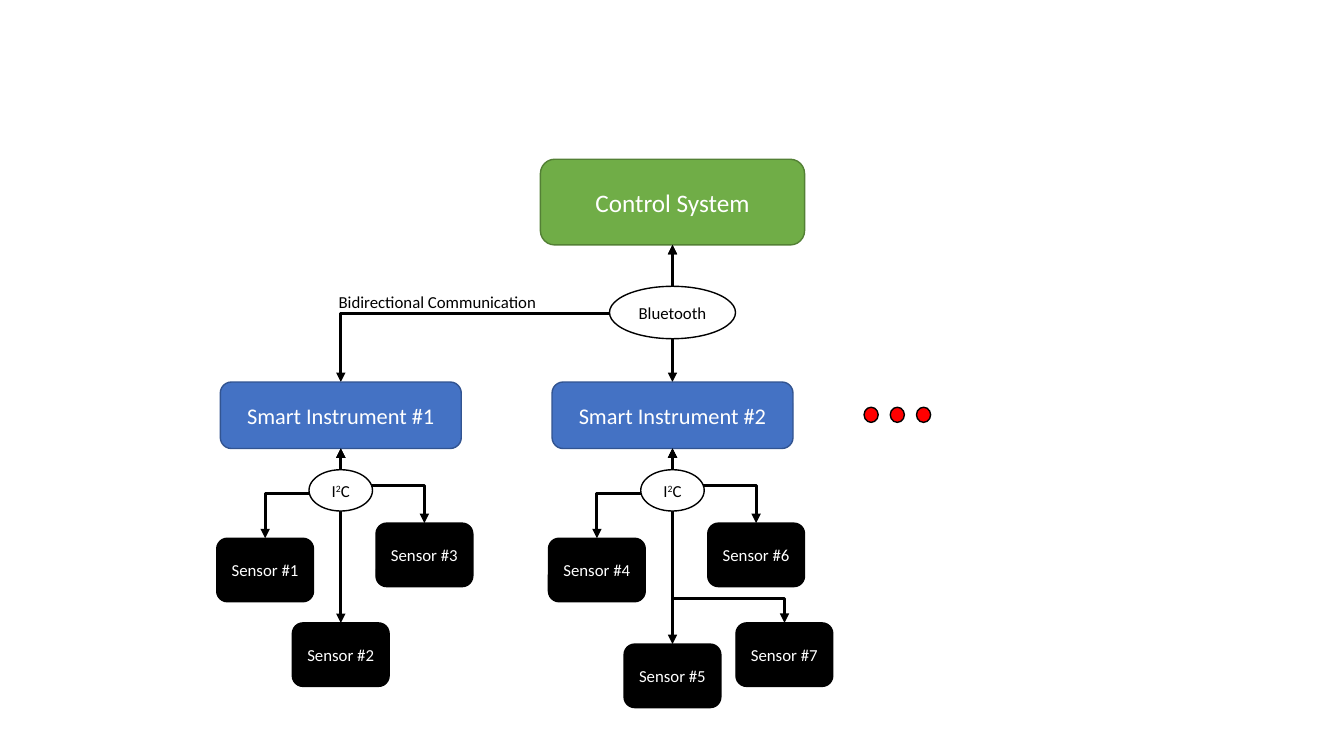
from lxml.etree import SubElement
from pptx import Presentation
from pptx.dml.color import RGBColor
from pptx.enum.shapes import MSO_CONNECTOR as LINK, MSO_SHAPE as SHAPE
from pptx.enum.text import MSO_ANCHOR, PP_ALIGN
from pptx.oxml.ns import qn
from pptx.util import Inches, Pt

BLACK = RGBColor(0x00, 0x00, 0x00)
WHITE = RGBColor(0xFF, 0xFF, 0xFF)
RED = RGBColor(0xFF, 0x00, 0x00)
GREEN = RGBColor(0x70, 0xAD, 0x47)
DARK_GREEN = RGBColor(0x53, 0x80, 0x35)
BLUE = RGBColor(0x44, 0x72, 0xC4)
DARK_BLUE = RGBColor(0x32, 0x54, 0x91)

FONT = "Calibri"
INSTRUMENT_TOP = 3.79
INSTRUMENT_HEIGHT = 0.66
LEFT_CENTER = 3.38
RIGHT_CENTER = 6.67


def write_spans(para, texts, size, color):
    """Fill a paragraph with runs of one font, size and colour."""
    for text in texts:
        span = para.add_run()
        span.text = text
        span.font.name = FONT
        span.font.size = Pt(size)
        span.font.color.rgb = color


def add_node(page, kind, center, top, width, height, fill, line, texts=(), size=12, color=WHITE):
    """Draw a filled shape centred on a horizontal position and return it."""
    node = page.shapes.add_shape(
        kind, Inches(center - width / 2), Inches(top), Inches(width), Inches(height))
    node.shadow.inherit = False
    node.fill.solid()
    node.fill.fore_color.rgb = fill
    node.line.color.rgb = line
    node.line.width = Pt(1)
    frame = node.text_frame
    frame.word_wrap = True
    frame.vertical_anchor = MSO_ANCHOR.MIDDLE
    para = frame.paragraphs[0]
    para.alignment = PP_ALIGN.CENTER
    write_spans(para, texts, size, color)
    return node


def style_link(link):
    """Give a connector a black line with an arrowhead at both ends."""
    link.line.color.rgb = BLACK
    link.line.width = Pt(2.25)
    outline = link.line._get_or_add_ln()
    for end in ("a:headEnd", "a:tailEnd"):
        SubElement(outline, qn(end), type="triangle")
    SubElement(link._element.spPr, qn("a:effectLst"))


def add_link(page, start_x, start_y, end_x, end_y, bend=0.5):
    """Join two points downwards, with a horizontal step when they are not aligned."""
    if start_x == end_x:
        style_link(page.shapes.add_connector(
            LINK.STRAIGHT, Inches(start_x), Inches(start_y), Inches(end_x), Inches(end_y)))
        return
    drop, reach = end_y - start_y, abs(end_x - start_x)
    left = (start_x + end_x - drop) / 2
    top = (start_y + end_y - reach) / 2
    to_right = end_x > start_x
    begin, finish = (left + drop, left) if to_right else (left, left + drop)
    link = page.shapes.add_connector(
        LINK.ELBOW, Inches(begin), Inches(top), Inches(finish), Inches(top + reach))
    properties = link._element.spPr
    properties.find(qn("a:xfrm")).set("rot", str((270 if to_right else 90) * 60000))
    guides = properties.find(qn("a:prstGeom")).find(qn("a:avLst"))
    SubElement(guides, qn("a:gd"), name="adj1", fmla=f"val {round(bend * 100000)}")
    style_link(link)


def add_instrument(page, center, top, name, sensors):
    """Draw an instrument with its bus and the sensors that hang below it."""
    add_node(page, SHAPE.ROUNDED_RECTANGLE, center, top, 2.39, INSTRUMENT_HEIGHT,
             BLUE, DARK_BLUE, [name], 16)
    bottom = top + INSTRUMENT_HEIGHT
    for label, shift, drop, bend in sensors:
        add_node(page, SHAPE.ROUNDED_RECTANGLE, center + shift, top + drop, 0.96, 0.63,
                 BLACK, BLACK, [label])
        add_link(page, center, bottom, center + shift, top + drop, bend)
    bus = add_node(page, SHAPE.OVAL, center, top + 0.87, 0.63, 0.41,
                   WHITE, BLACK, ["I", "2", "C"], 12, BLACK)
    power = bus.text_frame.paragraphs[0].runs[1]
    power._r.get_or_add_rPr().set("baseline", "30000")


def add_control(page, center, top):
    """Draw the control system and its wireless links to the instruments."""
    height = 0.85
    add_node(page, SHAPE.ROUNDED_RECTANGLE, center, top, 2.62, height,
             GREEN, DARK_GREEN, ["Control System"], 18)
    for target in (LEFT_CENTER, RIGHT_CENTER):
        add_link(page, center, top + height, target, INSTRUMENT_TOP)
    add_node(page, SHAPE.OVAL, center, top + 1.26, 1.25, 0.52,
             WHITE, BLACK, ["Bluetooth"], 12, BLACK)


def add_link_label(page, left, top, width, height):
    """Write the caption above the link to the first instrument."""
    box = page.shapes.add_textbox(Inches(left), Inches(top), Inches(width), Inches(height))
    box.text_frame.word_wrap = True
    write_spans(box.text_frame.paragraphs[0], ["Bidirectional Communication"], 12, BLACK)


def add_more_dots(page, center, top):
    """Draw three dots that stand for further instruments."""
    for index in range(3):
        add_node(page, SHAPE.OVAL, center + index * 0.26, top, 0.14, 0.15, RED, BLACK)


def main():
    """Build the system diagram and save it."""
    deck = Presentation()
    deck.slide_width, deck.slide_height = Inches(13.33), Inches(7.5)
    page = deck.slides.add_slide(deck.slide_layouts[6])
    add_control(page, RIGHT_CENTER, 1.58)
    add_link_label(page, 3.26, 2.85, 2.57, 0.3)
    add_instrument(page, LEFT_CENTER, INSTRUMENT_TOP, "Smart Instrument #1", [
        ("Sensor #1", -0.75, 1.55, 0.5),
        ("Sensor #2", 0, 2.39, 0.5),
        ("Sensor #3", 0.83, 1.4, 0.5),
    ])
    add_instrument(page, RIGHT_CENTER, INSTRUMENT_TOP, "Smart Instrument #2", [
        ("Sensor #4", -0.75, 1.55, 0.5),
        ("Sensor #5", 0, 2.6, 0.5),
        ("Sensor #6", 0.83, 1.4, 0.5),
        ("Sensor #7", 1.11, 2.39, 0.86),
    ])
    add_more_dots(page, 8.64, 4.04)
    deck.save("out.pptx")


if __name__ == "__main__":
    main()
